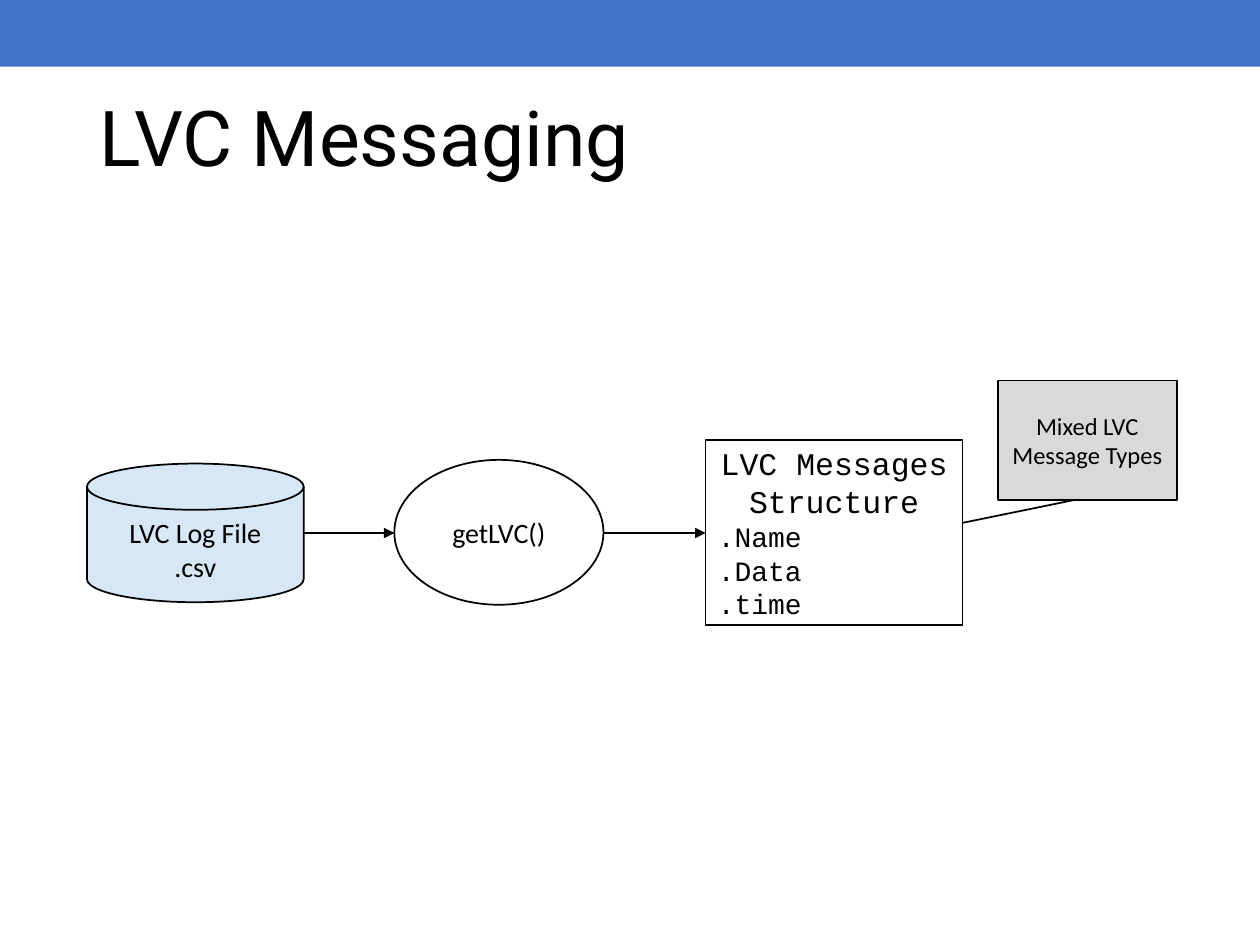
from pptx import Presentation
from pptx.dml.color import RGBColor as Rgb
from pptx.enum.shapes import MSO_CONNECTOR as Link, MSO_SHAPE as Kind
from pptx.enum.text import MSO_ANCHOR as Anchor, PP_ALIGN as Align
from pptx.oxml.ns import qn
from pptx.util import Inches, Pt
from lxml.etree import SubElement

HUES = {"bar": "4472C4", "ink": "000000", "paper": "FFFFFF",
        "disk": "D8E7F6", "note": "D9D9D9"}


def hue(name):
    return Rgb.from_string(HUES[name])


def write(frame, rows, anchor):
    frame.word_wrap = True
    frame.vertical_anchor = anchor
    for i, (text, size, face, align) in enumerate(rows):
        para = frame.paragraphs[0] if i == 0 else frame.add_paragraph()
        para.alignment = align
        run = para.add_run()
        run.text = text
        for key, value in {"name": face, "size": Pt(size)}.items():
            setattr(run.font, key, value)
        run.font.color.rgb = hue("ink")


def add_node(slide, kind, box, fill, rows=(), anchor=Anchor.MIDDLE, edge=True):
    node = slide.shapes.add_shape(kind, *map(Inches, box))
    node.shadow.inherit = False
    node.fill.solid()
    node.fill.fore_color.rgb = hue(fill)
    if edge:
        node.line.color.rgb = hue("ink")
        node.line.width = Pt(1)
    else:
        node.line.fill.background()
    write(node.text_frame, rows, anchor)
    return node


def add_arrow(slide, start, end, y):
    line = slide.shapes.add_connector(
        Link.STRAIGHT, *map(Inches, (start, y, end, y)))
    line.line.color.rgb = hue("ink")
    line.line.width = Pt(1.5)
    SubElement(line.line._get_or_add_ln(), qn("a:tailEnd"), type="triangle")
    SubElement(line.element.spPr, qn("a:effectLst"))


def add_head(slide, box):
    x, y, wide, high = box
    add_node(slide, Kind.RECTANGLE, (x, y, wide, 0.53), "bar", edge=False)
    title = slide.shapes.add_textbox(
        *map(Inches, (x + 0.69, y + 0.4, wide - 1.38, high - 0.4)))
    write(title.text_frame, [("LVC Messaging", 44, "Roboto", Align.LEFT)],
          Anchor.MIDDLE)
    title.text_frame.paragraphs[0].line_spacing = 0.9


def add_flow(slide, box):
    x, y, wide, high = box
    mid = y + 1.21
    body, code = "Calibri", "Courier New"
    fields = [(text, 16, code, Align.LEFT)
              for text in (".Name", ".Data", ".time")]
    add_node(slide, Kind.RECTANGLE, (x + 4.91, y + high - 1.47, 2.04, 1.47),
             "paper",
             [("LVC Messages Structure", 18, code, Align.CENTER)] + fields)
    note = add_node(slide, Kind.LINE_CALLOUT_1,
                    (x + wide - 1.42, y, 1.42, 0.95), "note",
                    [("Mixed LVC Message Types", 14, body, Align.CENTER)])
    note.element.spPr.get_or_add_xfrm().set("flipH", "1")
    for i, value in enumerate((1, 0.58, 1.19, 1.2)):
        note.adjustments[i] = value
    add_node(slide, Kind.OVAL, (x + 2.44, mid - 0.58, 1.66, 1.15), "paper",
             [("getLVC()", 16, body, Align.CENTER)])
    add_node(slide, Kind.FLOWCHART_MAGNETIC_DISK,
             (x, mid - 0.55, 1.72, 1.1), "disk",
             [(text, 16, body, Align.CENTER)
              for text in ("LVC Log File", ".csv")], Anchor.TOP)
    for start, end in ((1.72, 2.44), (4.1, 4.91)):
        add_arrow(slide, x + start, x + end, mid)


def main():
    deck = Presentation()
    for key, value in {"slide_width": 10, "slide_height": 7.5}.items():
        setattr(deck, key, Inches(value))
    slide = deck.slides.add_slide(deck.slide_layouts[6])
    add_head(slide, (0, 0, 10, 1.85))
    add_flow(slide, (0.69, 3.02, 8.65, 1.94))
    deck.save("out.pptx")


if __name__ == "__main__":
    main()
